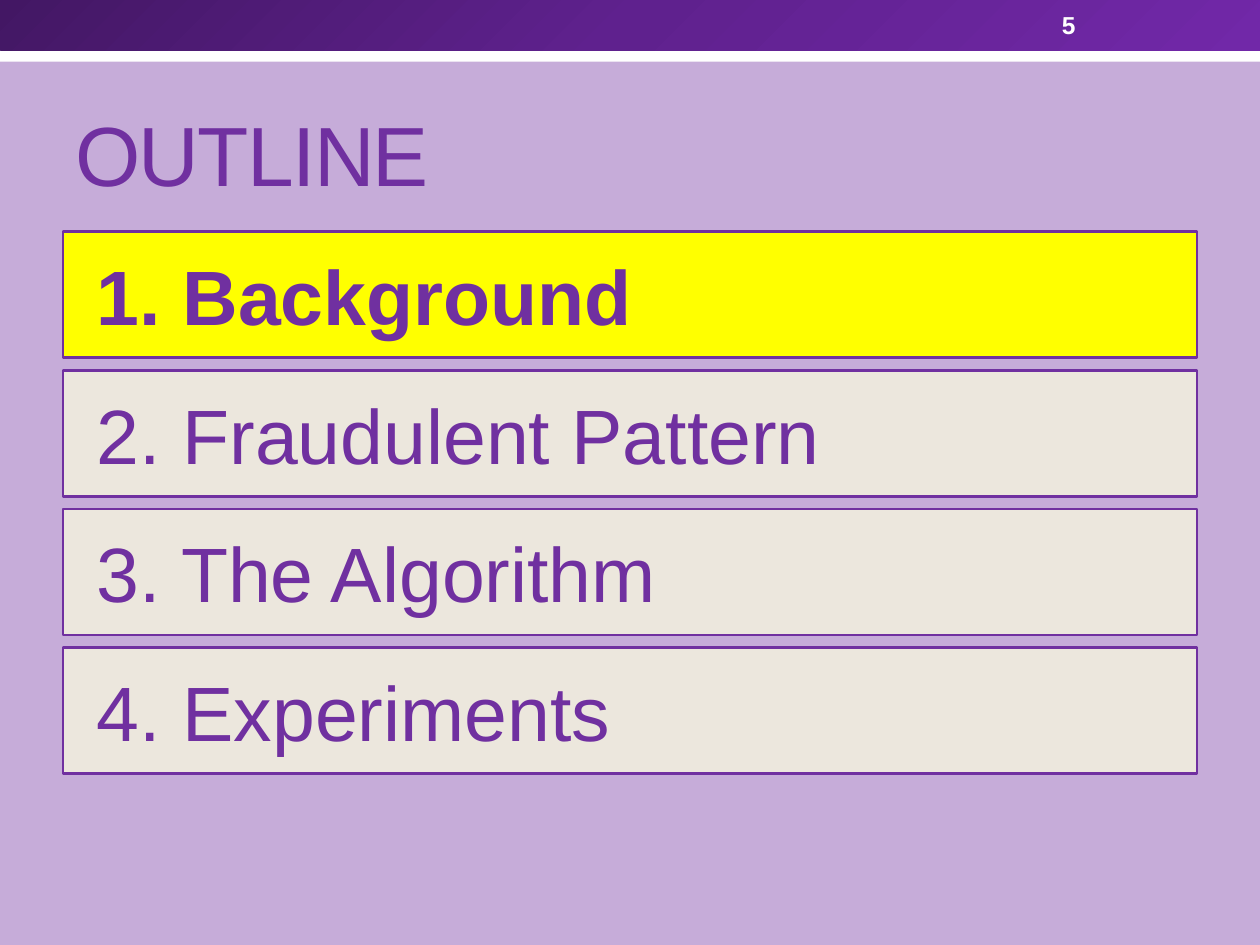
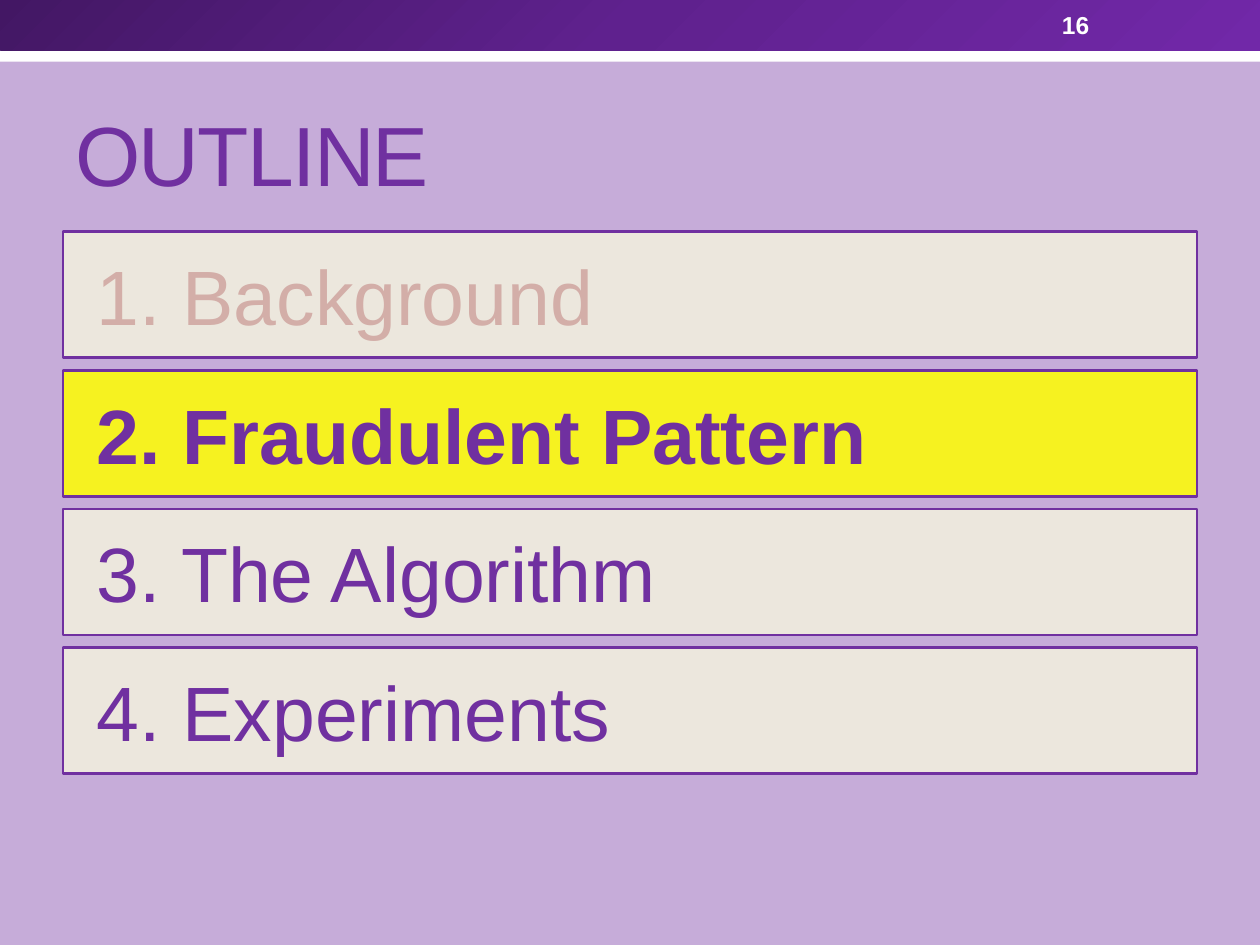
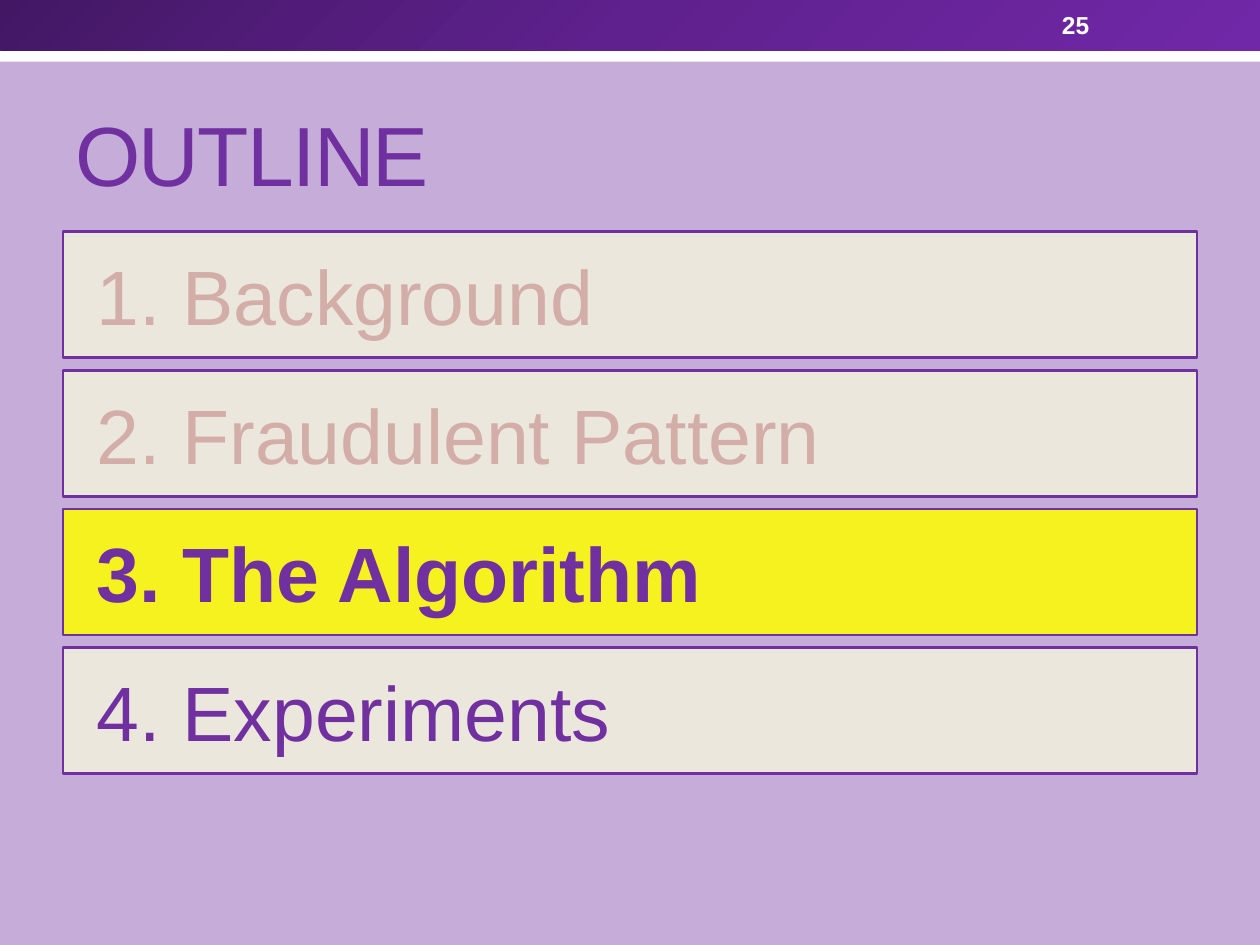
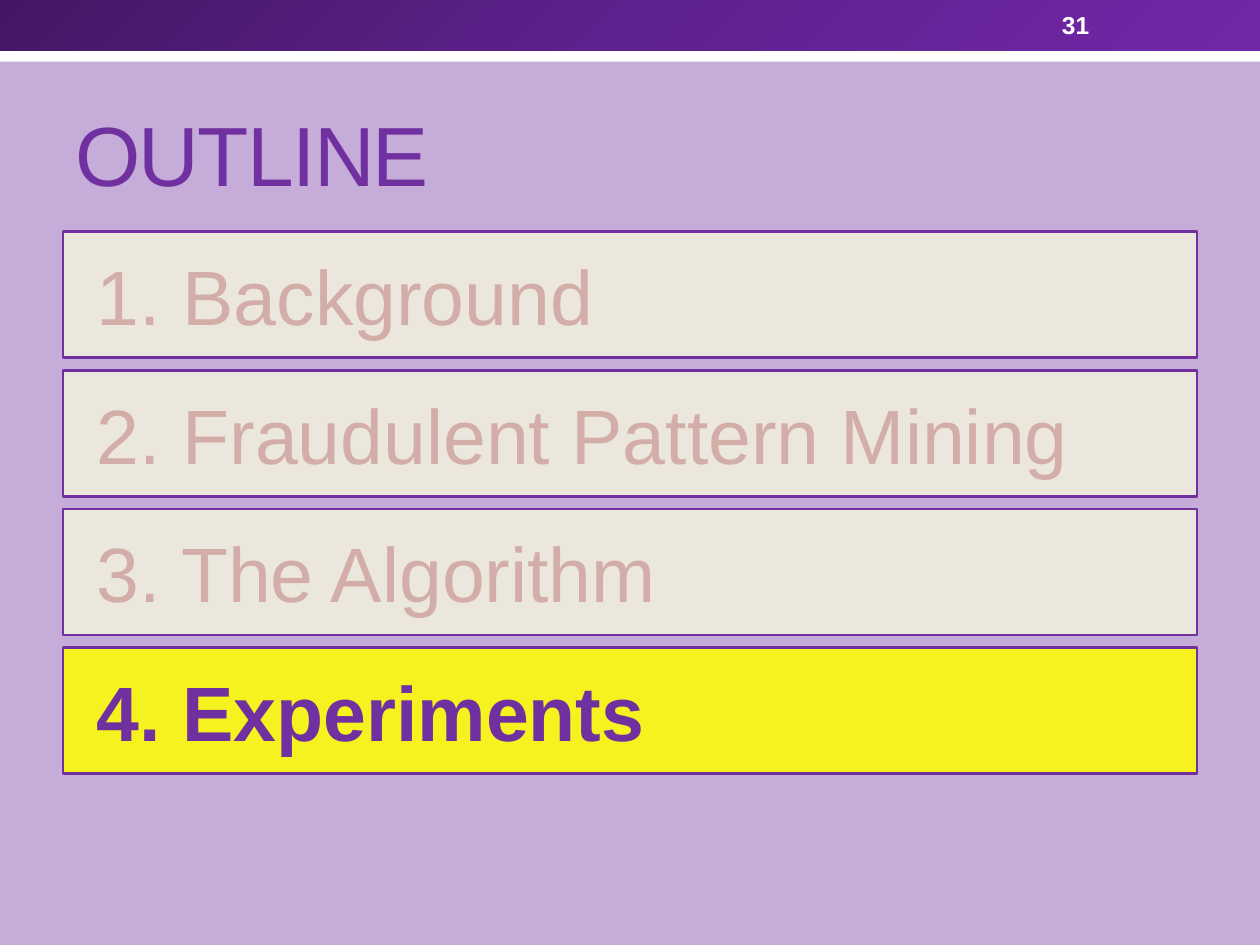
from lxml import etree
from pptx import Presentation
from pptx.dml.color import RGBColor
from pptx.enum import shapes, text
from pptx.oxml import ns
from pptx.util import Inches, Pt

FONT = "Arial"
PURPLE = "7030A0"
LILAC = "C6ACD9"
CREAM = "F3F2DE"
YELLOW = "FFFF00"
FADED = "D3AEA8"
WHITE = "FFFFFF"
BAND_STOPS = [(0, "431764"), (50, "5F218E"), (100, "7128A8")]
BAND_ANGLE = 45

SECTIONS = ["Background", "Fraudulent Pattern", "The Algorithm", "Experiments"]
FINAL_SECTIONS = ["Background", "Fraudulent Pattern Mining", "The Algorithm", "Experiments"]
OUTLINES = [
    (5, SECTIONS, 100),
    (16, SECTIONS, 85),
    (25, SECTIONS, 85),
    (31, FINAL_SECTIONS, 85),
]

LEFT, WIDTH = 0.5, 9
FIRST_TOP, ROW_HEIGHT, ROW_STEP = 1.84, 1, 1.1


def colour(hex_value):
    return RGBColor.from_string(hex_value)


def set_opacity(shape, percent):
    if percent < 100:
        tint = shape.fill._xPr.find(ns.qn("a:solidFill"))[0]
        etree.SubElement(tint, ns.qn("a:alpha"), val=str(percent * 1000))


def set_gradient(shape, stops, angle):
    shape.fill.gradient()
    gradient = shape.fill._xPr.find(ns.qn("a:gradFill"))
    for child in list(gradient):
        gradient.remove(child)
    stop_list = etree.SubElement(gradient, ns.qn("a:gsLst"))
    for position, hex_value in stops:
        stop = etree.SubElement(stop_list, ns.qn("a:gs"), pos=str(position * 1000))
        etree.SubElement(stop, ns.qn("a:srgbClr"), val=hex_value)
    etree.SubElement(gradient, ns.qn("a:lin"), ang=str(angle * 60000), scaled="0")


def add_rectangle(page, left, top, width, height, fill, opacity=100):
    box = page.shapes.add_shape(
        shapes.MSO_SHAPE.RECTANGLE, Inches(left), Inches(top), Inches(width), Inches(height)
    )
    box.shadow.inherit = False
    box.fill.solid()
    box.fill.fore_color.rgb = colour(fill)
    set_opacity(box, opacity)
    box.line.fill.background()
    return box


def write(box, words, size, hex_value, bold=False, anchor=text.MSO_ANCHOR.MIDDLE):
    frame = box.text_frame
    frame.text = words
    frame.word_wrap = True
    frame.vertical_anchor = anchor
    para = frame.paragraphs[0]
    para.alignment = text.PP_ALIGN.LEFT
    span = para.runs[0]
    span.font.name = FONT
    span.font.size = Pt(size)
    span.font.bold = bold
    span.font.color.rgb = colour(hex_value)
    return span


def add_label(page, left, top, width, height, words, size, hex_value, **style):
    box = page.shapes.add_textbox(Inches(left), Inches(top), Inches(width), Inches(height))
    return write(box, words, size, hex_value, **style)


def add_header(page, number):
    add_rectangle(page, 0, 0.24, 10, 0.25, WHITE)
    band = add_rectangle(page, 0, 0, 10, 0.4, PURPLE)
    set_gradient(band, BAND_STOPS, BAND_ANGLE)
    add_label(page, 8.33, 0.02, 1.17, 0.36, str(number), 14, WHITE, bold=True)


def add_title(page, words):
    span = add_label(
        page, LEFT, 0.58, WIDTH, 1.08, words, 48, PURPLE, anchor=text.MSO_ANCHOR.BOTTOM
    )
    span.font._element.set("spc", "-100")


def add_section(page, index, name, current, highlight_opacity):
    active = index == current
    fill, opacity = (YELLOW, highlight_opacity) if active else (CREAM, 85)
    top = FIRST_TOP + index * ROW_STEP
    box = add_rectangle(page, LEFT, top, WIDTH, ROW_HEIGHT, fill, opacity)
    box.line.color.rgb = colour(PURPLE)
    box.line.width = Pt(1.5)
    box.text_frame.margin_left = Inches(0.27)
    write(box, f"{index + 1}. {name}", 44, FADED if index < current else PURPLE, bold=active)


def add_outline(deck, current, number, sections, highlight_opacity):
    page = deck.slides.add_slide(deck.slide_layouts[6])
    page.background.fill.solid()
    page.background.fill.fore_color.rgb = colour(LILAC)
    add_header(page, number)
    add_title(page, "OUTLINE")
    for index, name in enumerate(sections):
        add_section(page, index, name, current, highlight_opacity)


def main():
    deck = Presentation()
    deck.slide_width = Inches(10)
    deck.slide_height = Inches(7.5)
    for current, outline in enumerate(OUTLINES):
        add_outline(deck, current, *outline)
    deck.save("out.pptx")


if __name__ == "__main__":
    main()
